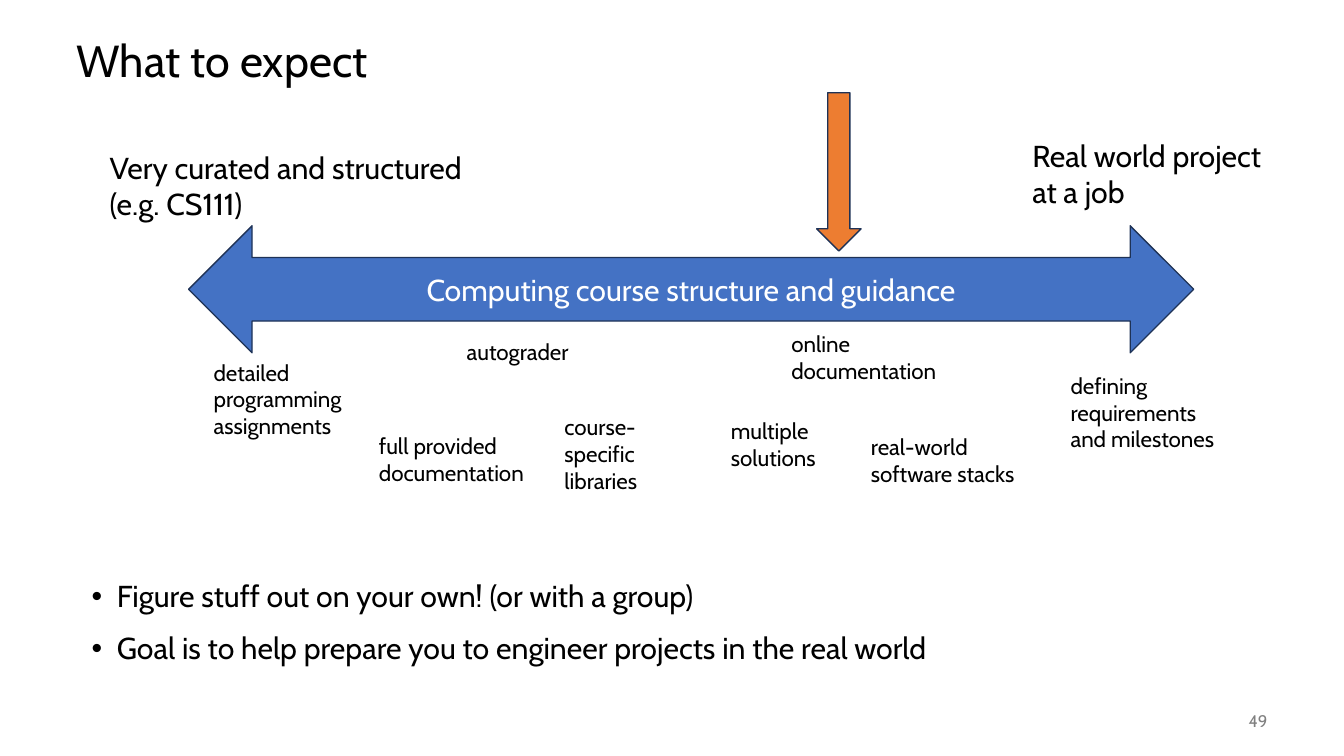
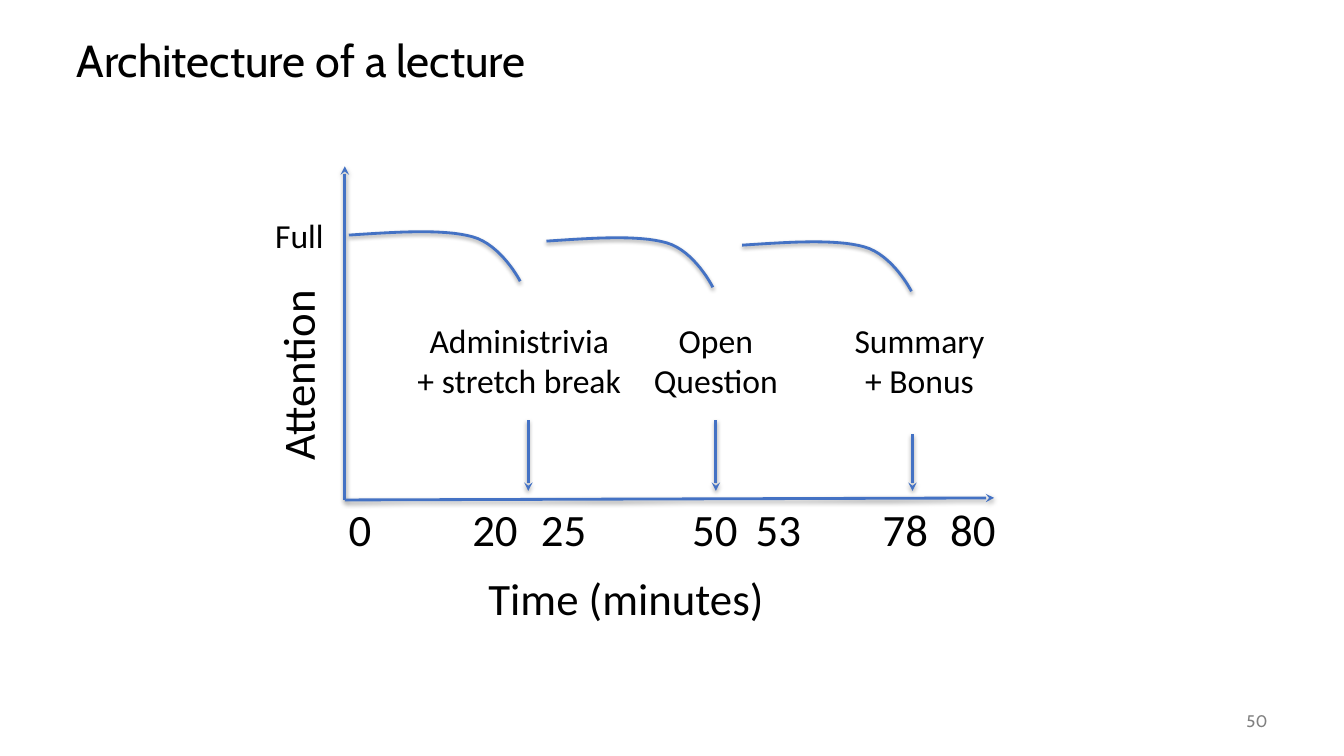
from dataclasses import dataclass

from lxml.etree import SubElement
from pptx import Presentation
from pptx.dml.color import RGBColor
from pptx.enum.shapes import MSO_CONNECTOR, MSO_SHAPE
from pptx.enum.text import MSO_ANCHOR, PP_ALIGN
from pptx.oxml.ns import qn
from pptx.util import Inches, Pt

COLUMNS, ROWS = 13.33, 7.5
CELL = Inches(1)
COLORS = {
    "text": "000000",
    "inverse": "FFFFFF",
    "number": "808080",
    "blue": "4472C4",
    "orange": "ED7D31",
    "outline": "1E3256",
}
BODY_FONT, CHART_FONT = "Cabin", "Calibri"
TITLE_SIZE, BODY_SIZE, NOTE_SIZE, NUMBER_SIZE = 32, 21.6, 16, 12
AXIS_SIZE, EVENT_SIZE = 32, 24
CURVE_STEPS = 16


@dataclass
class Box:
    left: float
    top: float
    width: float
    height: float

    def inner(self, left, top, width, height):
        return Box(self.left + left, self.top + top, width, height)

    def point(self, across, down):
        return self.left + across, self.top + down

    def lengths(self):
        return [cells(value) for value in (self.left, self.top, self.width, self.height)]


PAGE = Box(0, 0, COLUMNS, ROWS)


def cells(count):
    return round(count * CELL)


def color(name):
    return RGBColor.from_string(COLORS[name])


def write_lines(frame, lines, size, font=BODY_FONT, ink="text", align=PP_ALIGN.LEFT,
                anchor=MSO_ANCHOR.TOP, spacing=1.0, gap=0, bullet=None):
    frame.word_wrap = True
    frame.vertical_anchor = anchor
    for index, line in enumerate(lines):
        paragraph = frame.add_paragraph() if index else frame.paragraphs[0]
        paragraph.alignment = align
        paragraph.line_spacing = spacing
        if index and gap:
            paragraph.space_before = Pt(gap)
        if bullet:
            properties = paragraph._p.get_or_add_pPr()
            properties.set("marL", str(cells(0.25)))
            properties.set("indent", str(cells(-0.25)))
            SubElement(properties, qn("a:buFont"), typeface="Arial")
            SubElement(properties, qn("a:buChar"), char=bullet)
        run = paragraph.add_run()
        run.text = line
        run.font.name = font
        run.font.size = Pt(size)
        run.font.color.rgb = color(ink)


def add_text(slide, box, lines, size, **style):
    shape = slide.shapes.add_textbox(*box.lengths())
    write_lines(shape.text_frame, lines, size, **style)
    return shape


def add_arrow_shape(slide, preset, box, fill):
    shape = slide.shapes.add_shape(preset, *box.lengths())
    shape.shadow.inherit = False
    shape.fill.solid()
    shape.fill.fore_color.rgb = color(fill)
    shape.line.color.rgb = color("outline")
    shape.line.width = Pt(1)
    return shape


def style_stroke(shape):
    shape.line.color.rgb = color("blue")
    shape.line.width = Pt(2)
    properties = shape._element.spPr
    effects = SubElement(properties, qn("a:effectLst"))
    shadow = SubElement(effects, qn("a:outerShdw"), blurRad=str(Pt(3.1)),
                        dist=str(Pt(1.6)), dir="5400000", rotWithShape="0")
    shade = SubElement(shadow, qn("a:srgbClr"), val=COLORS["text"])
    SubElement(shade, qn("a:alpha"), val="37000")
    return properties.find(qn("a:ln"))


def add_arrow_line(slide, start, end):
    ends = [cells(value) for value in (*start, *end)]
    connector = slide.shapes.add_connector(MSO_CONNECTOR.STRAIGHT, *ends)
    SubElement(style_stroke(connector), qn("a:tailEnd"), type="stealth")


def bezier(points):
    for step in range(1, CURVE_STEPS + 1):
        t = step / CURVE_STEPS
        weights = ((1 - t) ** 3, 3 * t * (1 - t) ** 2, 3 * t * t * (1 - t), t ** 3)
        yield tuple(sum(weight * point[axis] for weight, point in zip(weights, points))
                    for axis in (0, 1))


def add_attention_curve(slide, box):
    start, bend, end = (0, 0.12), (0.72, 0.15), (1, 1)
    segments = [(start, (0.28, 0.06), (0.55, 0), bend), (bend, (0.89, 0.3), end, end)]
    shares = [start] + [point for segment in segments for point in bezier(segment)]
    places = [box.point(across * box.width, down * box.height) for across, down in shares]
    points = [(cells(across), cells(down)) for across, down in places]
    builder = slide.shapes.build_freeform(*points[0])
    builder.add_line_segments(points[1:], close=False)
    curve = builder.convert_to_shape()
    curve.fill.background()
    style_stroke(curve)


def add_page(presentation, title, number):
    slide = presentation.slides.add_slide(presentation.slide_layouts[6])
    add_text(slide, PAGE.inner(0.66, 0.25, 12, 0.75), [title], TITLE_SIZE,
             anchor=MSO_ANCHOR.MIDDLE, spacing=0.9)
    add_text(slide, PAGE.inner(11.67, 6.95, 1, 0.4), [str(number)], NUMBER_SIZE,
             ink="number", align=PP_ALIGN.RIGHT, anchor=MSO_ANCHOR.MIDDLE)
    return slide


def add_spectrum(slide, box):
    band = add_arrow_shape(slide, MSO_SHAPE.LEFT_RIGHT_ARROW, box, "blue")
    write_lines(band.text_frame, ["Computing course structure and guidance"], BODY_SIZE,
                ink="inverse", align=PP_ALIGN.CENTER, anchor=MSO_ANCHOR.MIDDLE)
    extremes = [
        (-0.88, -0.81, 4.2, ["Very curated and structured", "(e.g. CS111)"]),
        (8.27, -0.93, 2.59, ["Real world project at a job"]),
    ]
    for left, top, width, lines in extremes:
        add_text(slide, box.inner(left, top, width, 0.83), lines, BODY_SIZE)
    notes = [
        (0.15, 1.27, 1.88, "detailed programming assignments"),
        (1.79, 2, 1.83, "full provided documentation"),
        (2.66, 1.07, 1.83, "autograder"),
        (3.63, 1.81, 1.17, "course-specific libraries"),
        (5.28, 1.85, 1.4, "multiple solutions"),
        (5.88, 0.99, 1.83, "online documentation"),
        (6.67, 2.01, 1.83, "real-world software stacks"),
        (8.65, 1.4, 1.83, "defining requirements and milestones"),
    ]
    for left, top, width, note in notes:
        add_text(slide, box.inner(left, top, width, 0.64), [note], NOTE_SIZE)
    add_arrow_shape(slide, MSO_SHAPE.DOWN_ARROW, box.inner(6.23, -1.32, 0.44, 1.57), "orange")


def add_takeaways(slide, box):
    takeaways = [
        "Figure stuff out on your own! (or with a group)",
        "Goal is to help prepare you to engineer projects in the real world",
    ]
    add_text(slide, box, takeaways, BODY_SIZE, spacing=0.9, gap=14, bullet="•")


def add_attention_chart(slide, box):
    def label(center, top, width, height, lines, size):
        return add_text(slide, box.inner(center - width / 2, top, width, height), lines, size,
                        font=CHART_FONT, align=PP_ALIGN.CENTER)

    origin = box.point(0, box.height)
    add_arrow_line(slide, origin, box.point(0, 0))
    add_arrow_line(slide, origin, box.point(box.width, box.height - 0.02))

    label(-0.47, 1.75, 2.2, 0.64, ["Attention"], AXIS_SIZE).rotation = 270
    label(2.79, 3.96, 3.2, 0.64, ["Time (minutes)"], AXIS_SIZE)
    label(-0.45, 0.43, 1, 0.5, ["Full"], EVENT_SIZE)

    ticks = {0: 0.15, 20: 1.49, 25: 2.17, 50: 3.67, 53: 4.3, 78: 5.56, 80: 6.23}
    for minute, center in ticks.items():
        label(center, 3.28, 0.8, 0.64, [str(minute)], AXIS_SIZE)

    for left, top, width in [(0.04, 0.62, 1.7), (2, 0.68, 1.65), (3.94, 0.72, 1.68)]:
        add_attention_curve(slide, box.inner(left, top, width, 0.52))

    events = [
        (1.73, 1.82, 2.52, ["Administrivia", "+ stretch break"]),
        (3.68, 3.68, 2.52, ["Open", "Question"]),
        (5.7, 5.63, 2.66, ["Summary", "+ Bonus"]),
    ]
    for center, arrow, arrow_top, lines in events:
        label(center, 1.47, 2.4, 0.91, lines, EVENT_SIZE)
        add_arrow_line(slide, box.point(arrow, arrow_top), box.point(arrow, 3.22))


def main():
    presentation = Presentation()
    presentation.slide_width = cells(COLUMNS)
    presentation.slide_height = cells(ROWS)

    expectations = add_page(presentation, "What to expect", 49)
    add_spectrum(expectations, PAGE.inner(1.87, 2.24, 9.97, 1.26))
    add_takeaways(expectations, PAGE.inner(0.81, 5.72, 11.72, 1.04))

    lecture = add_page(presentation, "Architecture of a lecture", 50)
    add_attention_chart(lecture, PAGE.inner(3.42, 1.65, 6.44, 3.31))

    presentation.save("out.pptx")


if __name__ == "__main__":
    main()
